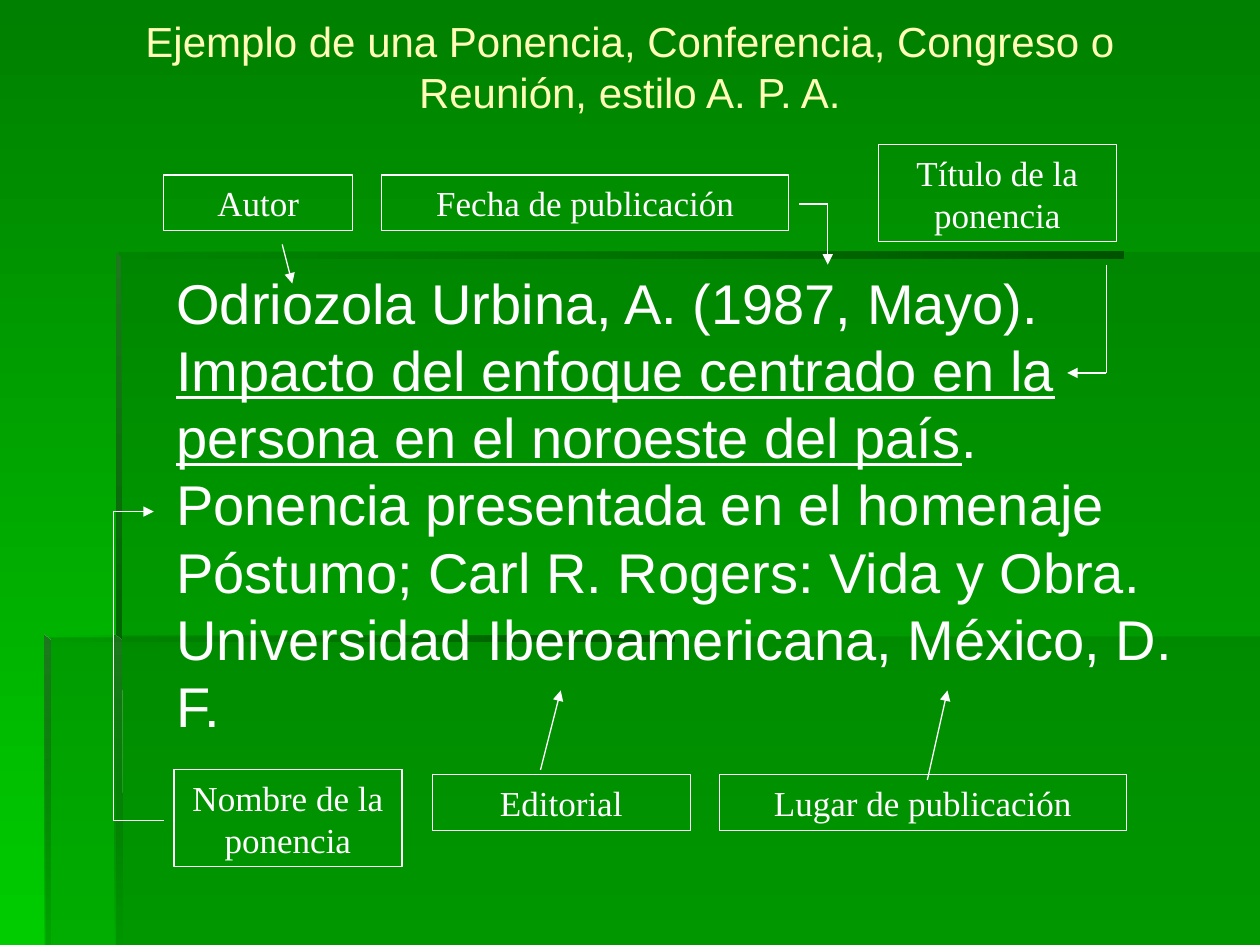
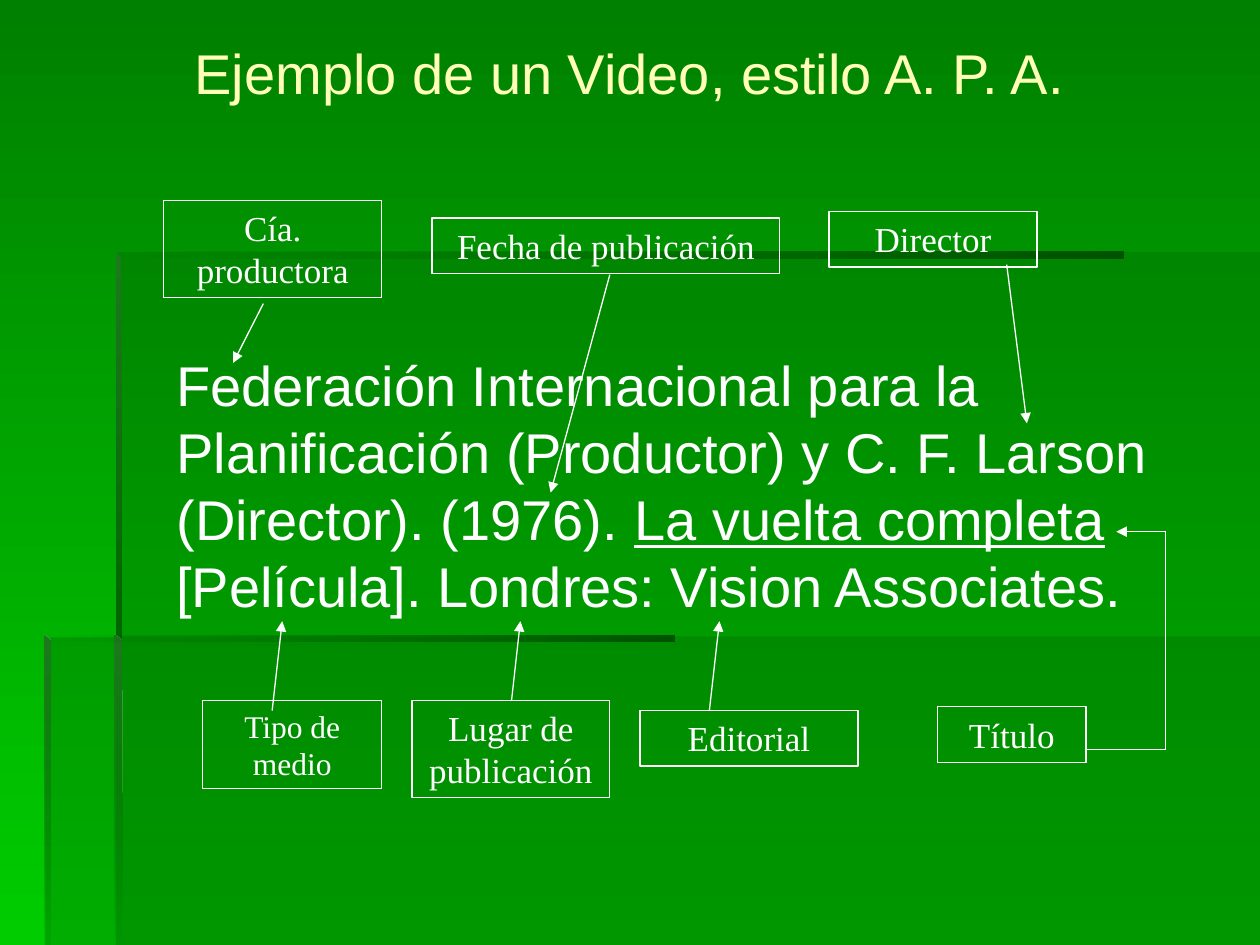
from dataclasses import dataclass
from itertools import pairwise

from lxml import etree
from pptx import Presentation
from pptx.dml.color import RGBColor
from pptx.enum.shapes import MSO_CONNECTOR
from pptx.enum.text import MSO_ANCHOR, PP_ALIGN
from pptx.oxml.ns import qn
from pptx.util import Inches, Pt

STRAIGHT = MSO_CONNECTOR.STRAIGHT
TOP, MIDDLE = MSO_ANCHOR.TOP, MSO_ANCHOR.MIDDLE
LEFT, CENTER = PP_ALIGN.LEFT, PP_ALIGN.CENTER

WIDTH, HEIGHT = 10, 7.5
SANS, SERIF = "Arial", "Times New Roman"
WHITE, CREAM = "FFFFFF", "FFFFB7"
SKY_DARK, SKY_BRIGHT = "008000", "00CC00"
PANEL, SHADE, GLOW = "006600", "005300", "1E781E"
LINE_WIDTH = 0.75
DOWN, LEFTWARD = 90, 180

Point = tuple[float, float]
Box = tuple[float, float, float, float]


@dataclass(frozen=True)
class Band:
    points: tuple[Point, ...]
    colors: tuple[str, ...]
    opacities: tuple[int, ...]
    angle: int = DOWN


@dataclass(frozen=True)
class Label:
    text: str
    box: Box
    size: int = 20


@dataclass(frozen=True)
class Run:
    text: str
    underline: bool = False


@dataclass(frozen=True)
class Example:
    title: str
    title_box: Box
    title_size: int
    reference: tuple[Run, ...]
    reference_box: Box
    labels: tuple[Label, ...]
    arrows: tuple[tuple[Point, ...], ...]


def rectangle(left: float, top: float, right: float, bottom: float) -> tuple[Point, ...]:
    return (left, top), (left, bottom), (right, bottom), (right, top)


BANDS = (
    Band(rectangle(0.92, 5.05, WIDTH, HEIGHT), (PANEL,), (30,)),
    Band(
        ((0.94, 5.06), (0.36, 5.06), (0.36, HEIGHT), (WIDTH, HEIGHT), (WIDTH, 2), (0.94, 2)),
        (PANEL,),
        (30,),
    ),
    Band(rectangle(0.92, 2, 8.92, 2.05), (SHADE, PANEL), (100, 0), LEFTWARD),
    Band(((0.92, 2), (0.92, 5.1), (0.97, 5.1), (0.96, 2.04)), (GLOW, PANEL), (100, 100)),
    Band(((0.91, 5.04), (0.91, HEIGHT), (0.97, HEIGHT), (0.96, 5.08)), (GLOW, PANEL), (100, 0)),
    Band(rectangle(0.35, 5.04, 5.35, 5.09), (SHADE, PANEL), (100, 0), LEFTWARD),
    Band(((0.35, 5.04), (0.35, HEIGHT), (0.4, HEIGHT), (0.4, 5.09)), (GLOW, PANEL), (100, 10)),
)

EXAMPLES = (
    Example(
        title="Ejemplo de una Ponencia, Conferencia, Congreso o Reunión, estilo A. P. A.",
        title_box=(0.75, 0.13, 8.5, 0.79),
        title_size=24,
        reference=(
            Run("Odriozola Urbina, A. (1987, Mayo). "),
            Run("Impacto del enfoque centrado en la persona en el noroeste del país", True),
            Run(
                ". Ponencia presentada en el homenaje Póstumo; Carl R. Rogers: Vida y Obra. "
                "Universidad Iberoamericana, México, D. F."
            ),
        ),
        reference_box=(0.92, 2.08, 8.76, 4.58),
        labels=(
            Label("Autor", (1.3, 1.39, 1.5, 0.44)),
            Label("Título de la ponencia", (6.97, 1.15, 1.89, 0.77)),
            Label("Fecha de publicación", (3.03, 1.39, 3.23, 0.44)),
            Label("Lugar de publicación", (5.71, 6.15, 3.23, 0.44)),
            Label("Editorial", (3.43, 6.15, 2.05, 0.44)),
            Label("Nombre de la ponencia", (1.38, 6.11, 1.81, 0.77)),
        ),
        arrows=(
            ((2.24, 1.94), (2.32, 2.25)),
            ((8.78, 2.1), (8.78, 2.96), (8.47, 2.96)),
            ((4.29, 6.11), (4.45, 5.48)),
            ((7.36, 6.19), (7.52, 5.48)),
            ((1.3, 6.51), (0.9, 6.51), (0.9, 4.06), (1.22, 4.06)),
            ((6.34, 1.62), (6.57, 1.62), (6.57, 2.1)),
        ),
    ),
    Example(
        title="Ejemplo de un Video, estilo A. P. A.",
        title_box=(0.75, 0.21, 8.5, 0.72),
        title_size=32,
        reference=(
            Run(
                "Federación Internacional para la Planificación (Productor) "
                "y C. F. Larson (Director). (1976). "
            ),
            Run("La vuelta completa", True),
            Run(" [Película]. Londres: Vision Associates."),
        ),
        reference_box=(0.92, 2.73, 8.76, 3.93),
        labels=(
            Label("Cía. productora", (1.3, 1.59, 1.73, 0.77)),
            Label("Fecha de publicación", (3.43, 1.73, 2.76, 0.44)),
            Label("Director", (6.58, 1.68, 1.65, 0.44)),
            Label("Título", (7.44, 5.61, 1.18, 0.44)),
            Label("Lugar de publicación", (3.27, 5.56, 1.57, 0.77)),
            Label("Editorial", (5.08, 5.64, 1.73, 0.44)),
            Label("Tipo de medio", (1.61, 5.56, 1.42, 0.7), 18),
        ),
        arrows=(
            ((2.09, 2.41), (1.85, 2.88)),
            ((4.84, 2.18), (4.37, 3.91)),
            ((7.99, 2.1), (8.15, 3.36)),
            ((5.63, 5.64), (5.71, 4.93)),
            ((8.62, 5.95), (9.25, 5.95), (9.25, 4.22), (8.86, 4.22)),
            ((4.06, 5.56), (4.13, 4.93)),
            ((2.16, 5.64), (2.24, 4.93)),
        ),
    ),
)


def rgb(color: str) -> RGBColor:
    return RGBColor.from_string(color)


def paint(fill, colors: tuple[str, ...], angle: int = DOWN) -> None:
    if len(colors) == 1:
        fill.solid()
        fill.fore_color.rgb = rgb(colors[0])
        return
    fill.gradient()
    fill.gradient_angle = 360 - angle
    for stop, color, position in zip(fill.gradient_stops, colors, (0, 1)):
        stop.color.rgb = rgb(color)
        stop.position = position


def draw_band(slide, band: Band) -> None:
    start, *rest = [(Inches(x), Inches(y)) for x, y in band.points]
    builder = slide.shapes.build_freeform(*start)
    builder.add_line_segments(rest, close=True)
    shape = builder.convert_to_shape()
    shape.shadow.inherit = False
    shape.line.fill.background()
    paint(shape.fill, band.colors, band.angle)
    stops = list(shape._element.spPr.iter(qn("a:srgbClr")))
    for stop, opacity in zip(stops, band.opacities):
        if opacity < 100:
            etree.SubElement(stop, qn("a:alpha")).set("val", str(opacity * 1000))


def add_text(slide, runs: tuple[Run, ...], box: Box, *, size: int, font: str = SANS,
             color: str = WHITE, align=CENTER, anchor=TOP, indent: float = 0):
    textbox = slide.shapes.add_textbox(*map(Inches, box))
    frame = textbox.text_frame
    frame.word_wrap = True
    frame.vertical_anchor = anchor
    frame.margin_left = Inches(0.1 + indent)
    paragraph = frame.paragraphs[0]
    paragraph.alignment = align
    for part in runs:
        run = paragraph.add_run()
        run.text = part.text
        run.font.size = Pt(size)
        run.font.name = font
        run.font.color.rgb = rgb(color)
        run.font.underline = part.underline
    return textbox


def draw_label(slide, label: Label) -> None:
    frame = add_text(slide, (Run(label.text),), label.box, size=label.size, font=SERIF)
    frame.line.color.rgb = rgb(WHITE)
    frame.line.width = Pt(LINE_WIDTH)


def draw_arrow(slide, points: tuple[Point, ...]) -> None:
    for start, end in pairwise(points):
        connector = slide.shapes.add_connector(STRAIGHT, *map(Inches, start + end))
        connector.line.color.rgb = rgb(WHITE)
        connector.line.width = Pt(LINE_WIDTH)
        properties = connector._element.spPr
        etree.SubElement(properties, qn("a:effectLst"))
        if end == points[-1]:
            outline = properties.find(qn("a:ln"))
            etree.SubElement(outline, qn("a:tailEnd")).set("type", "triangle")


def draw_example(slide, example: Example) -> None:
    paint(slide.background.fill, (SKY_DARK, SKY_BRIGHT))
    for band in BANDS:
        draw_band(slide, band)
    add_text(slide, (Run(example.title),), example.title_box,
             size=example.title_size, color=CREAM, anchor=MIDDLE)
    add_text(slide, example.reference, example.reference_box,
             size=32, align=LEFT, indent=0.38)
    for label in example.labels:
        draw_label(slide, label)
    for arrow in example.arrows:
        draw_arrow(slide, arrow)


def main() -> None:
    presentation = Presentation()
    presentation.slide_width = Inches(WIDTH)
    presentation.slide_height = Inches(HEIGHT)
    blank = presentation.slide_layouts[6]
    for example in EXAMPLES:
        draw_example(presentation.slides.add_slide(blank), example)
    presentation.save("out.pptx")


if __name__ == "__main__":
    main()
